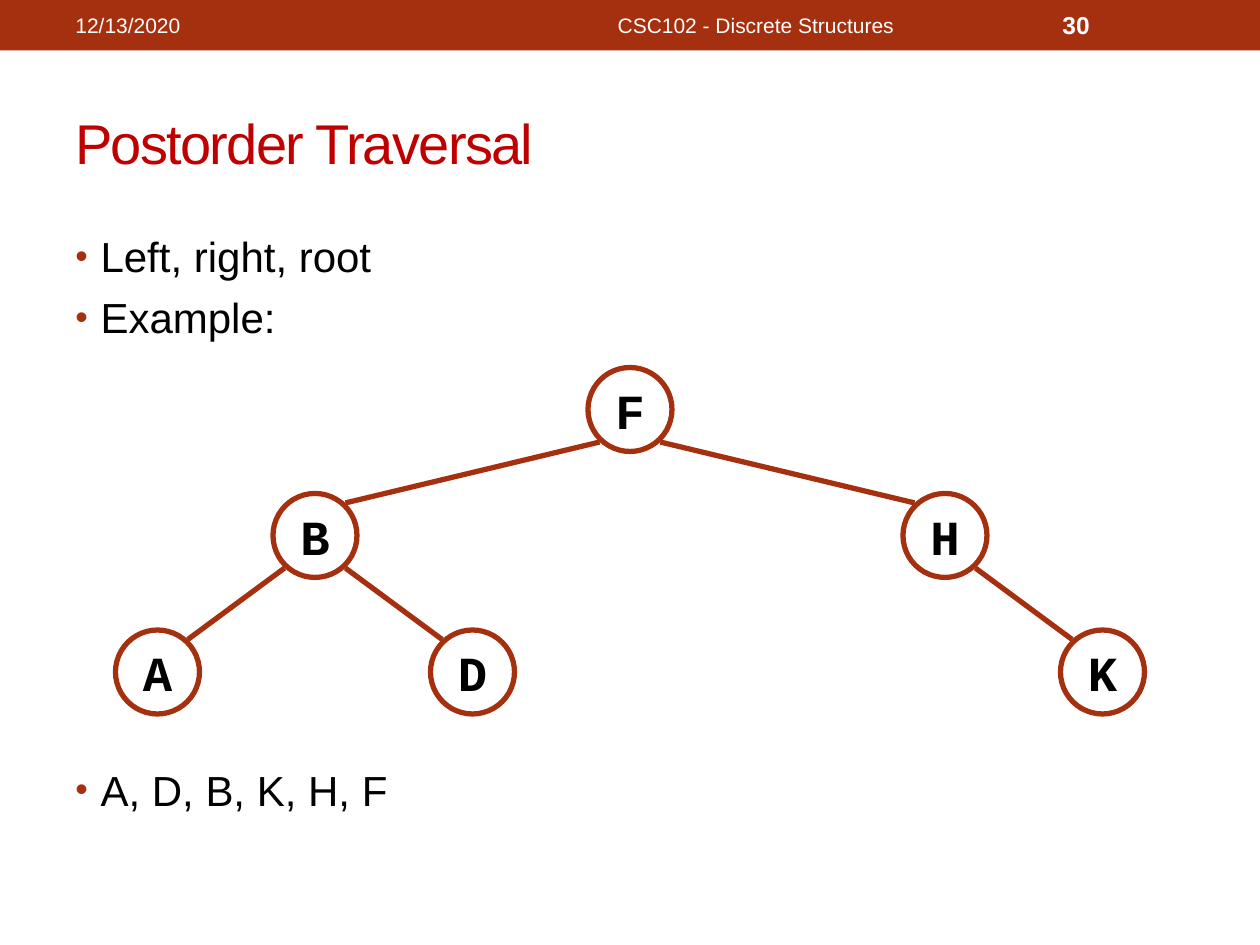
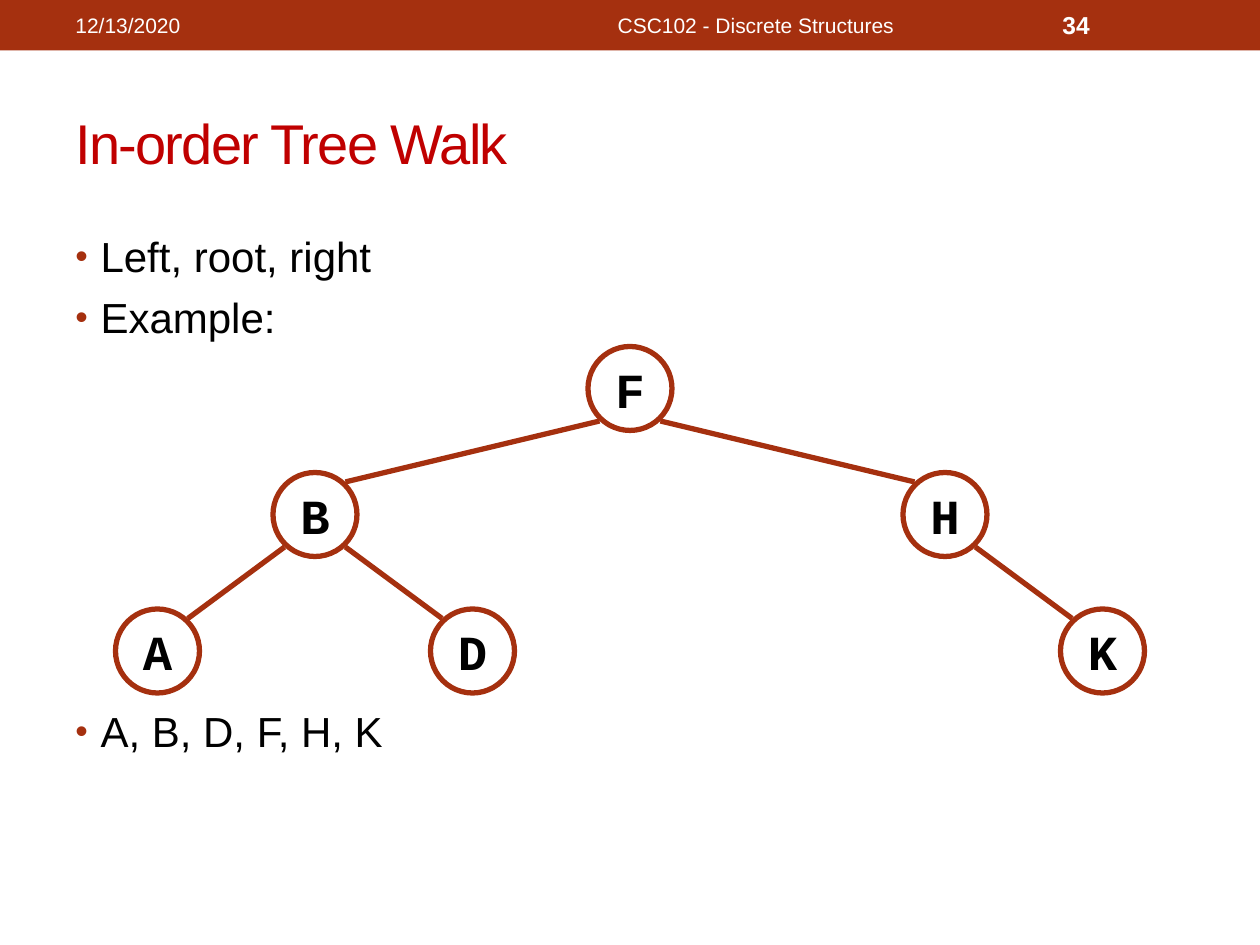
"""Build two tree traversal slides that share a header band, title and bullets."""
from lxml import etree
from pptx import Presentation
from pptx import util as u
from pptx.dml.color import RGBColor
from pptx.enum import shapes, text
from pptx.oxml.ns import qn

RUST = RGBColor(0xA5, 0x30, 0x0F)
RED = RGBColor(0xC0, 0x00, 0x00)
WHITE = RGBColor(0xFF, 0xFF, 0xFF)
BLACK = RGBColor(0x00, 0x00, 0x00)

COLS, ROWS = 120, 90
WIDTH, HEIGHT = u.Inches(10), u.Inches(7.5)
CELL = WIDTH / COLS

DATE_FORMAT = {"name": "Arial", "size": u.Pt(12), "color": WHITE}
NUMBER_FORMAT = {"name": "Arial", "size": u.Pt(14), "color": WHITE, "bold": True}
TITLE_FORMAT = {"name": "Arial", "size": u.Pt(32), "color": RED}
BODY_FORMAT = {"name": "Arial", "size": u.Pt(24), "color": BLACK}
NODE_FORMAT = {"name": "Courier New", "size": u.Pt(28), "color": BLACK, "bold": True}

BULLET_GAP = 6
LINE_PITCH = 33.6

NODE_SIZE = 8
NODE_STEP = 15
LEVELS = (0, 12, 25)
JOIN_X, JOIN_Y = 2.9, 3.1
NODES = {"F": (4, 0), "B": (2, 1), "H": (6, 1), "K": (7, 2), "D": (3, 2), "A": (1, 2)}
EDGES = ("BA", "BD", "FB", "FH", "HK")

SLIDES = (
    {"number": "30", "title": "Postorder Traversal", "rule": "Left, right, root",
     "result": "A, D, B, K, H, F", "tree_lines": 7, "tree_row": 39},
    {"number": "34", "title": "In-order Tree Walk", "rule": "Left, root, right",
     "result": "A, B, D, F, H, K", "tree_lines": 6, "tree_row": 37},
)


def grid(*cells):
    """Turn grid cells into slide lengths."""
    return [u.Emu(round(c * CELL)) for c in cells]


def write(p, words, style):
    """Add a run with the given format values."""
    r = p.add_run()
    r.text = words
    for key, value in style.items():
        if key == "color":
            r.font.color.rgb = value
        else:
            setattr(r.font, key, value)
    return r


def add_box(s, cells, anchor=text.MSO_ANCHOR.MIDDLE):
    """Add a wrapping text box and return its text frame."""
    tf = s.shapes.add_textbox(*grid(*cells)).text_frame
    tf.word_wrap = True
    tf.vertical_anchor = anchor
    return tf


def add_header(s, number):
    """Draw the band with the date, course and slide number."""
    band = s.shapes.add_shape(shapes.MSO_SHAPE.RECTANGLE, *grid(0, 0, COLS, 4.8))
    band.shadow.inherit = False
    band.fill.solid()
    band.fill.fore_color.rgb = RUST
    band.line.fill.background()
    items = (
        (100, 14, number, NUMBER_FORMAT, text.PP_ALIGN.LEFT),
        (6, 38, "12/13/2020", DATE_FORMAT, text.PP_ALIGN.LEFT),
        (45, 54, "CSC102 - Discrete Structures", DATE_FORMAT, text.PP_ALIGN.CENTER),
    )
    for left, width, words, style, align in items:
        p = add_box(s, (left, 0.25, width, 4.3)).paragraphs[0]
        p.alignment = align
        write(p, words, style)


def add_title(s, words):
    """Add the tightly spaced slide title."""
    r = write(add_box(s, (6, 7, 108, 13)).paragraphs[0], words, TITLE_FORMAT)
    r.font._element.set("spc", "-100")


def add_bullet(p):
    """Give a paragraph a hanging rust bullet."""
    pPr = p._p.get_or_add_pPr()
    indent = u.Inches(0.2)
    pPr.set("marL", str(indent))
    pPr.set("indent", str(-indent))
    color = etree.SubElement(pPr, qn("a:buClr"))
    etree.SubElement(color, qn("a:srgbClr"), val=str(RUST))
    etree.SubElement(pPr, qn("a:buSzPct"), val="85000")
    etree.SubElement(pPr, qn("a:buFont"), typeface="Arial")
    etree.SubElement(pPr, qn("a:buChar"), char="•")


def add_body(s, rule, result, tree_lines):
    """Add the bullets, leaving room for the tree before the result."""
    tf = add_box(s, (6, 21.4, 108, 64), text.MSO_ANCHOR.TOP)
    tree_gap = BULLET_GAP + tree_lines * LINE_PITCH
    bullets = ((rule, 0), ("Example:", BULLET_GAP), (result, tree_gap))
    for i, (words, gap) in enumerate(bullets):
        p = tf.add_paragraph() if i else tf.paragraphs[0]
        add_bullet(p)
        p.space_before = u.Pt(gap)
        write(p, words, BODY_FORMAT)


def add_node(tree, label, x, y):
    """Draw a labelled circle centred on a grid point."""
    half = NODE_SIZE / 2
    sp = tree.shapes.add_shape(
        shapes.MSO_SHAPE.OVAL, *grid(x - half, y - half, NODE_SIZE, NODE_SIZE))
    sp.shadow.inherit = False
    sp.fill.solid()
    sp.fill.fore_color.rgb = WHITE
    sp.line.color.rgb = RUST
    sp.line.width = u.Pt(3)
    tf = sp.text_frame
    tf.word_wrap = False
    tf.vertical_anchor = text.MSO_ANCHOR.MIDDLE
    p = tf.paragraphs[0]
    p.alignment = text.PP_ALIGN.CENTER
    write(p, label, NODE_FORMAT)


def add_edge(tree, parent, child):
    """Join the lower side of a parent to the upper side of its child."""
    (px, py), (cx, cy) = parent, child
    dx = JOIN_X if cx > px else -JOIN_X
    line = tree.shapes.add_connector(
        shapes.MSO_CONNECTOR.STRAIGHT,
        *grid(px + dx, py + JOIN_Y, cx - dx, cy - JOIN_Y))
    line.line.color.rgb = RUST
    line.line.width = u.Pt(3)
    etree.SubElement(line._element.spPr, qn("a:effectLst"))


def add_tree(s, top):
    """Draw the nodes and edges as one group with its root on the given row."""
    tree = s.shapes.add_group_shape()
    centres = {k: (col * NODE_STEP, top + LEVELS[level])
               for k, (col, level) in NODES.items()}
    for label, centre in centres.items():
        add_node(tree, label, *centre)
    for parent, child in EDGES:
        add_edge(tree, centres[parent], centres[child])


def main():
    """Build and save the slides."""
    prs = Presentation()
    prs.slide_width, prs.slide_height = WIDTH, HEIGHT
    for item in SLIDES:
        s = prs.slides.add_slide(prs.slide_layouts[6])
        add_header(s, item["number"])
        add_title(s, item["title"])
        add_body(s, item["rule"], item["result"], item["tree_lines"])
        add_tree(s, item["tree_row"])
    prs.save("out.pptx")


if __name__ == "__main__":
    main()
